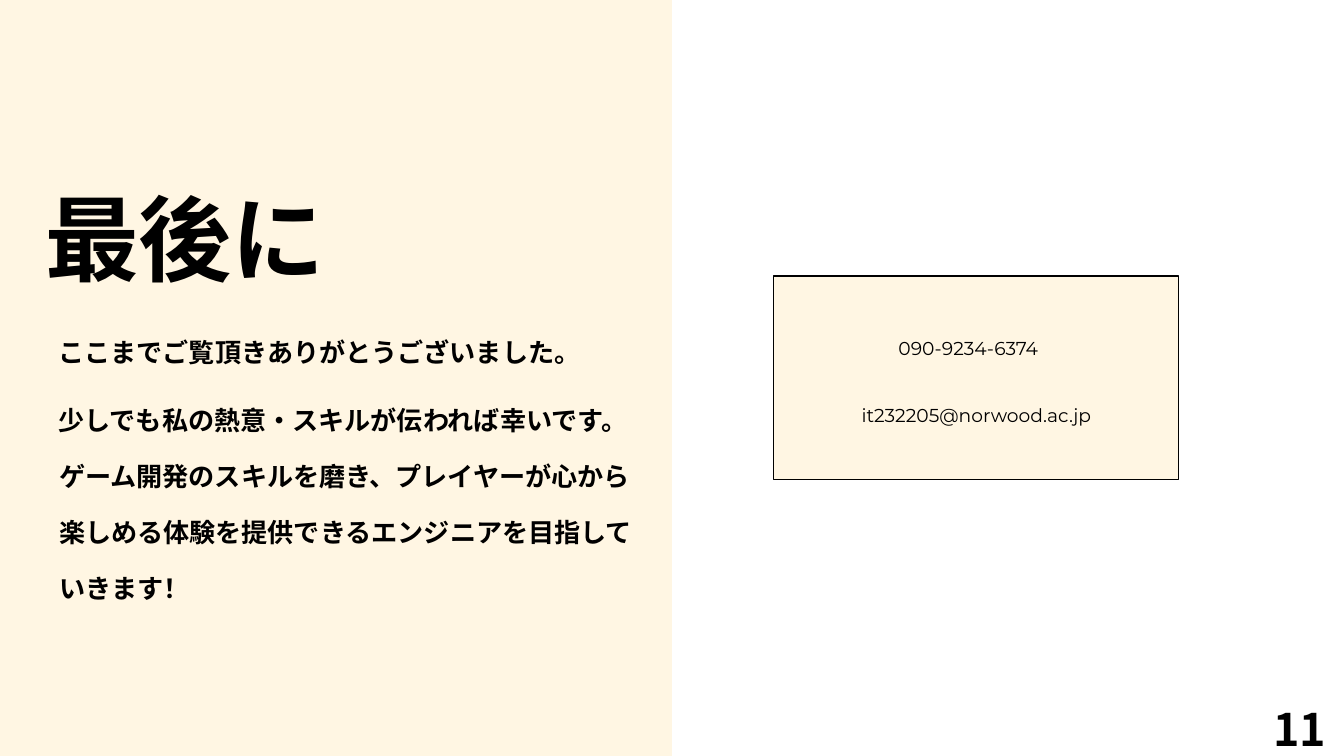
from dataclasses import dataclass

from lxml import etree
from pptx import Presentation
from pptx.dml.color import RGBColor
from pptx.enum.shapes import MSO_SHAPE
from pptx.enum.text import MSO_ANCHOR, MSO_AUTO_SIZE, PP_ALIGN
from pptx.oxml.ns import qn
from pptx.shapes.autoshape import Shape
from pptx.slide import Slide
from pptx.util import Inches, Pt

CREAM = RGBColor(0xFF, 0xF6, 0xE3)
BLACK = RGBColor(0x00, 0x00, 0x00)
JAPANESE_FONT = "Noto Sans CJK JP"
LATIN_FONT = "Montserrat"
RECTANGLE = MSO_SHAPE.RECTANGLE
LEFT = PP_ALIGN.LEFT
CENTER = PP_ALIGN.CENTER
TOP = MSO_ANCHOR.TOP
NO_AUTOFIT = MSO_AUTO_SIZE.NONE


@dataclass(frozen=True)
class Frame:
    left: float
    top: float
    width: float
    height: float

    def lengths(self) -> list[int]:
        return [Inches(value) for value in (self.left, self.top, self.width, self.height)]


@dataclass(frozen=True)
class Style:
    size: int
    line_spacing: float | None = None
    font: str = JAPANESE_FONT
    bold: bool = True
    align: PP_ALIGN = LEFT
    space_before: float = 0


@dataclass(frozen=True)
class Label:
    text: str
    frame: Frame
    style: Style


TITLE = Style(100, 110)
THANKS = Style(28, 110)
GOAL = Style(28, space_before=26.5)
CONTACT = Style(20, 28, LATIN_FONT, False, CENTER)
PAGE_NUMBER = Style(48, 48, align=CENTER)

LABELS = [
    Label("090-9234-6374", Frame(12.33, 4.95, 4.16, 0.39), CONTACT),
    Label("it232205@norwood.ac.jp", Frame(12.45, 5.96, 4.16, 0.35), CONTACT),
    Label("11", Frame(18.58, 10.57, 1.52, 0.7), PAGE_NUMBER),
    Label("ここまでご覧頂きありがとうございました。", Frame(0.87, 3.95, 8.69, 1.29), THANKS),
    Label("少しでも私の熱意・スキルが伝われば幸いです。", Frame(0.87, 4.95, 8.69, 1.27), THANKS),
]
GOAL_LINES = [
    "ゲーム開発のスキルを磨き、プレイヤーが心から",
    "楽しめる体験を提供できるエンジニアを目指して",
    "いきます！",
]


def write_text(box: Shape, label: Label) -> None:
    box.left, box.top, box.width, box.height = label.frame.lengths()
    text_frame = box.text_frame
    text_frame.text = label.text
    text_frame.word_wrap = True
    text_frame.auto_size = NO_AUTOFIT
    text_frame.vertical_anchor = TOP
    text_frame.margin_left = text_frame.margin_right = 0
    text_frame.margin_top = text_frame.margin_bottom = 0
    style = label.style
    for index, para in enumerate(text_frame.paragraphs):
        para.alignment = style.align
        para.space_before = Pt(style.space_before if index else 0)
        if style.line_spacing:
            para.line_spacing = Pt(style.line_spacing)
        for span in para.runs:
            span.font.size = Pt(style.size)
            span.font.name = style.font
            span.font.bold = style.bold
            span.font.color.rgb = BLACK
            east_asian = etree.SubElement(span.font._element, qn("a:ea"))
            east_asian.set("typeface", style.font)


def remove_bullets(box: Shape) -> None:
    for para in box.text_frame.paragraphs:
        properties = para._p.get_or_add_pPr()
        properties.set("marL", "0")
        properties.set("indent", "0")
        etree.SubElement(properties, qn("a:buNone"))


def add_panel(page: Slide, frame: Frame) -> Shape:
    panel = page.shapes.add_shape(RECTANGLE, *frame.lengths())
    panel.shadow.inherit = False
    panel.fill.solid()
    panel.fill.fore_color.rgb = CREAM
    panel.line.fill.background()
    return panel


def main() -> None:
    deck = Presentation()
    deck.slide_width = Inches(20)
    deck.slide_height = Inches(11.25)
    page = deck.slides.add_slide(deck.slide_layouts[1])
    title = page.shapes.title
    body = page.placeholders[1]

    left_panel = add_panel(page, Frame(-0.4, -0.12, 10.4, 11.49))
    title._element.addprevious(left_panel._element)
    contact_card = add_panel(page, Frame(11.51, 4.11, 6.03, 3.03))
    contact_card.line.color.rgb = BLACK
    contact_card.line.width = Pt(1.5)

    write_text(title, Label("最後に", Frame(0.67, 2.83, 8.69, 1.54), TITLE))
    write_text(body, Label("\n".join(GOAL_LINES), Frame(0.88, 6.85, 8.68, 2.36), GOAL))
    remove_bullets(body)
    for label in LABELS:
        box = page.shapes.add_textbox(*label.frame.lengths())
        write_text(box, label)

    deck.save("out.pptx")


if __name__ == "__main__":
    main()
